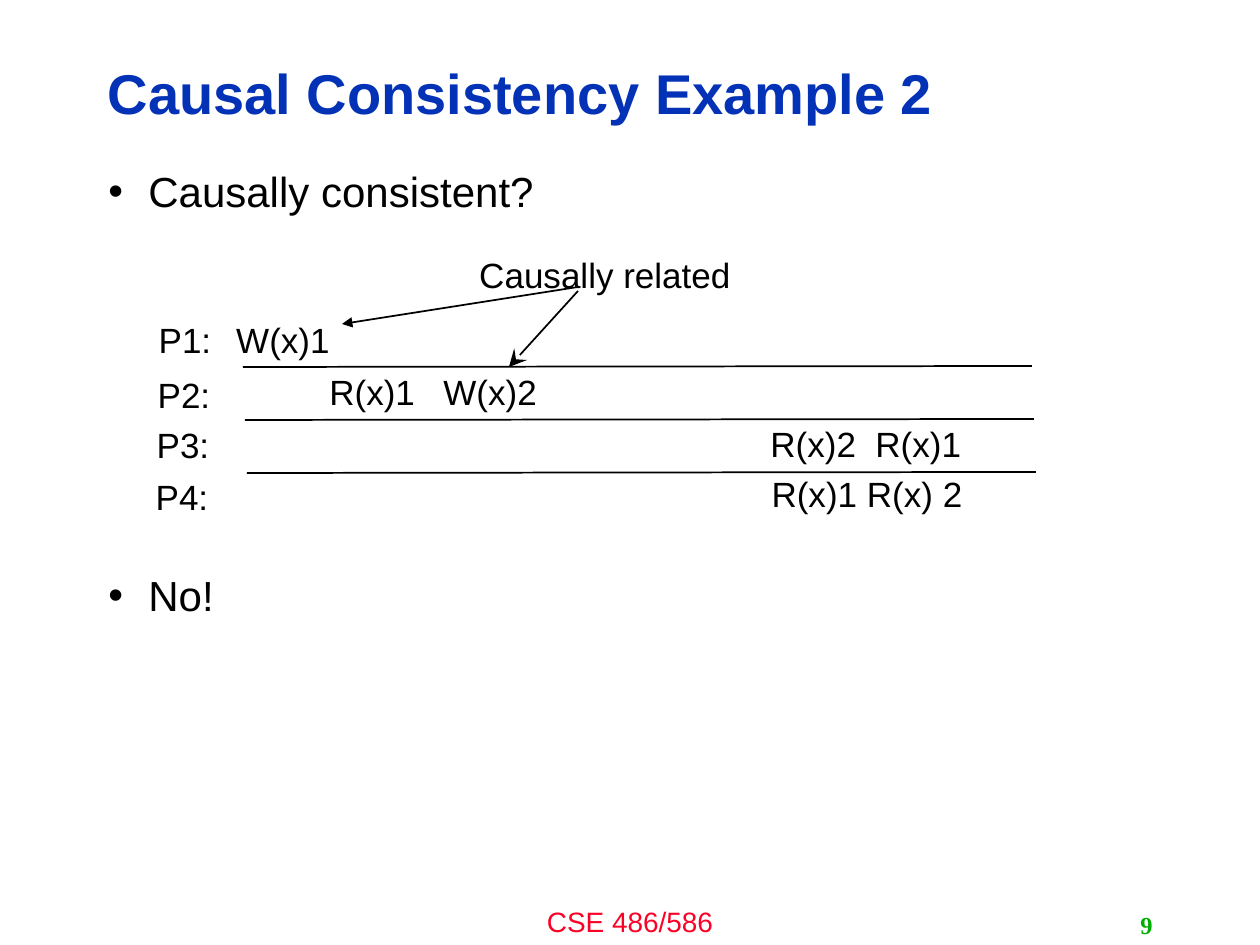
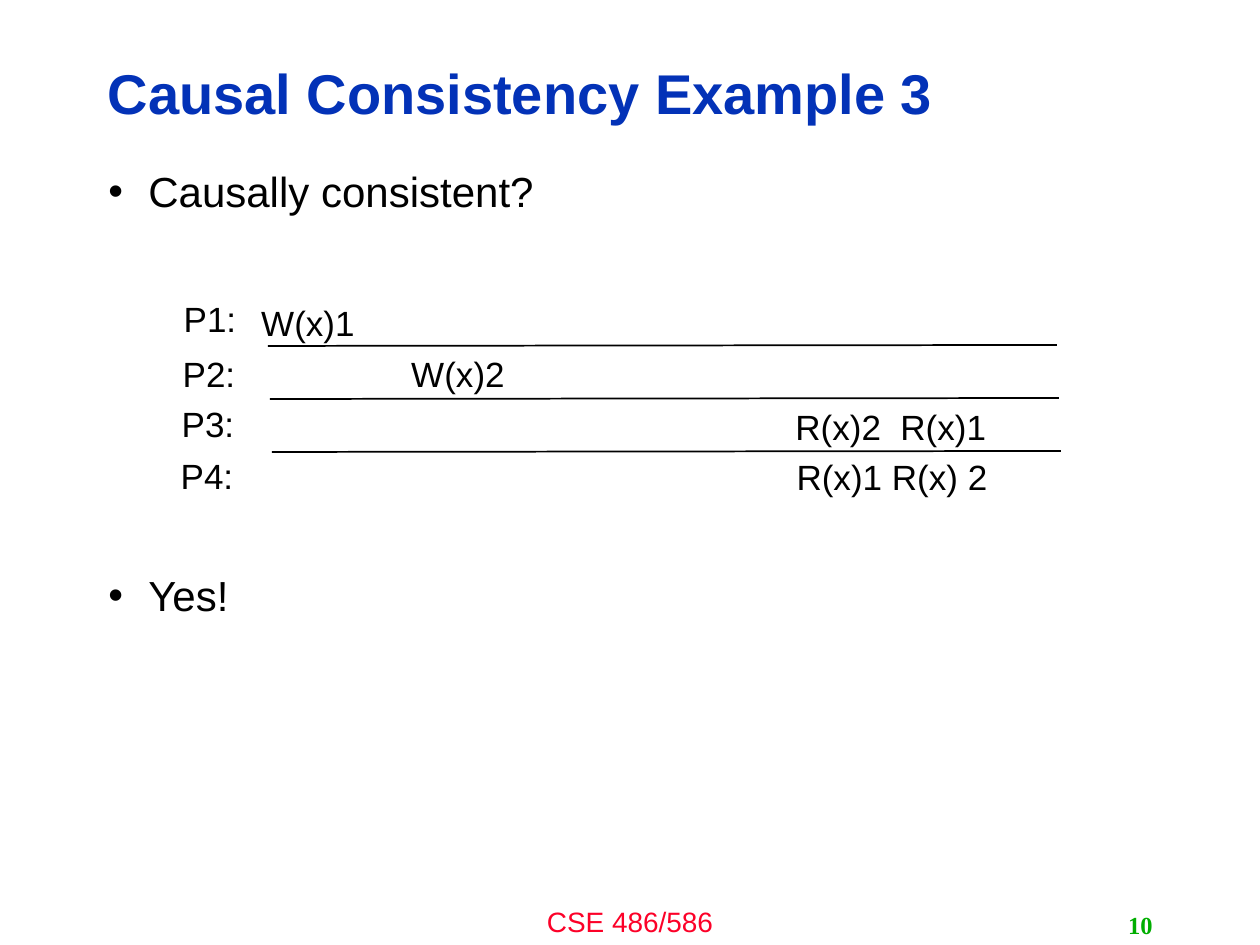
from lxml.etree import SubElement
from pptx import Presentation
from pptx.dml.color import RGBColor
from pptx.enum.shapes import MSO_CONNECTOR
from pptx.enum.text import MSO_ANCHOR, PP_ALIGN
from pptx.oxml.ns import qn
from pptx.util import Inches, Pt

PX_PER_INCH = 126
COLORS = {"title": "0332B7", "text": "000000", "footer": "FC0128", "number": "00AE00"}
LABEL_ROWS = (0, 55, 105, 157)
EVENT_ROWS = (0, 52, 104, 154)


def px(n):
    """Turn px into EMU."""
    return Inches(n / PX_PER_INCH)


def style(p, size, color, font="Arial", bold=False, align=PP_ALIGN.LEFT):
    """Format a paragraph and its runs."""
    p.alignment = align
    for r in p.runs:
        r.font.size = Pt(size)
        r.font.name = font
        r.font.bold = bold
        r.font.color.rgb = RGBColor.from_string(COLORS[color])


def add_text(s, box, text, size, color="text", wrap=True, **look):
    """Add a text box and return its frame."""
    tf = s.shapes.add_textbox(*map(px, box)).text_frame
    tf.word_wrap = wrap
    tf.text = text
    for p in tf.paragraphs:
        style(p, size, color, **look)
    return tf


def add_label(s, x, y, width, text):
    """Add one centred diagram label."""
    add_text(s, (x, y, width, 55), text, 20, wrap=False, align=PP_ALIGN.CENTER)


def add_pair(s, x, y, width, text, tab):
    """Add two events in one box, the second at a tab stop."""
    tf = add_text(s, (x, y, width, 55), text, 20)
    tabs = SubElement(tf.paragraphs[0]._p.get_or_add_pPr(), qn("a:tabLst"))
    SubElement(tabs, qn("a:tab"), pos=str(px(tab)), algn="l")


def add_line(s, x1, y1, x2, y2, arrow=None, size="med"):
    """Add a thin line with an optional arrowhead at its end."""
    line = s.shapes.add_connector(MSO_CONNECTOR.STRAIGHT, *map(px, (x1, y1, x2, y2)))
    line.line.width = Pt(1)
    line.line.color.rgb = RGBColor.from_string(COLORS["text"])
    if arrow:
        SubElement(line.line._get_or_add_ln(), qn("a:tailEnd"), type=arrow, w=size, len=size)
    SubElement(line._element.spPr, qn("a:effectLst"))


def add_title(s, box, text):
    """Place and format the title placeholder."""
    sp = s.shapes.title
    sp.left, sp.top, sp.width, sp.height = map(px, box)
    tf = sp.text_frame
    tf.text = text
    tf.vertical_anchor = MSO_ANCHOR.MIDDLE
    p = tf.paragraphs[0]
    p.line_spacing = 0.9
    style(p, 32, "title", bold=True)


def add_question(s, box, answer):
    """Add the bulleted question with its answer below the diagram."""
    tf = add_text(s, box, f"Causally consistent?\n{answer}", 24)
    tf.paragraphs[1].space_before = Pt(205)
    for p in tf.paragraphs:
        p.line_spacing = 0.9
        pPr = p._p.get_or_add_pPr()
        pPr.set("marL", str(px(40)))
        pPr.set("indent", str(-px(40)))
        SubElement(pPr, qn("a:buFont"), typeface="Arial")
        SubElement(pPr, qn("a:buChar"), char="•")


def add_footer(s, box, number):
    """Add the course name and the page number along the bottom."""
    x, y, w, h = box
    add_text(s, (x, y, w, h), "CSE 486/586", 16, "footer", align=PP_ALIGN.CENTER)
    tf = add_text(s, (x + 483, y + 7, 262, 40), str(number), 14, "number",
                  font="Times New Roman", bold=True, align=PP_ALIGN.RIGHT)
    tf.vertical_anchor = MSO_ANCHOR.MIDDLE


def add_timeline(s, x, y, event_shift=0):
    """Draw four process rows, their dividers and the events both slides share."""
    for i in range(3):
        left, top = x + 97 + 2 * i, y + 55 + 53 * i
        add_line(s, left, top, left + 789, top - 1)
    for i, row_y in enumerate(LABEL_ROWS):
        add_label(s, x - i, y + row_y, 78, f"P{i + 1}:")
    rows = [y + row_y + event_shift for row_y in EVENT_ROWS]
    add_label(s, x + 77, rows[0], 120, "W(x)1")
    add_pair(s, x + 612, rows[2], 222, "R(x)2\tR(x)1", 105)
    add_label(s, x + 612, rows[3], 218, "R(x)1 R(x) 2")


def add_callout(s, x, y):
    """Name the causal relation and point to the two related writes."""
    add_line(s, x + 112, y + 40, x - 124, y + 77, "triangle")
    add_line(s, x + 112, y + 44, x + 43, y + 120, "stealth", "lg")
    add_label(s, x, y, 278, "Causally related")


def add_example(prs, example, page, answer):
    """Add an example slide with its title, question and footer."""
    s = prs.slides.add_slide(prs.slide_layouts[5])
    add_title(s, (95, 45, 1005, 102), f"Causal Consistency Example {example}")
    add_question(s, (96, 165, 1058, 679), answer)
    add_footer(s, (420, 898, 420, 47), page)
    return s


def main():
    """Build and save both slides."""
    prs = Presentation()
    prs.slide_width, prs.slide_height = Inches(10), Inches(7.5)

    s = add_example(prs, 2, 9, "No!")
    add_timeline(s, 146, 312)
    add_pair(s, 317, 364, 240, "R(x)1\tW(x)2", 114)
    add_callout(s, 466, 247)

    s = add_example(prs, 3, 10, "Yes!")
    add_timeline(s, 171, 291, event_shift=4)
    add_label(s, 398, 346, 120, "W(x)2")
    prs.save("out.pptx")


if __name__ == "__main__":
    main()
